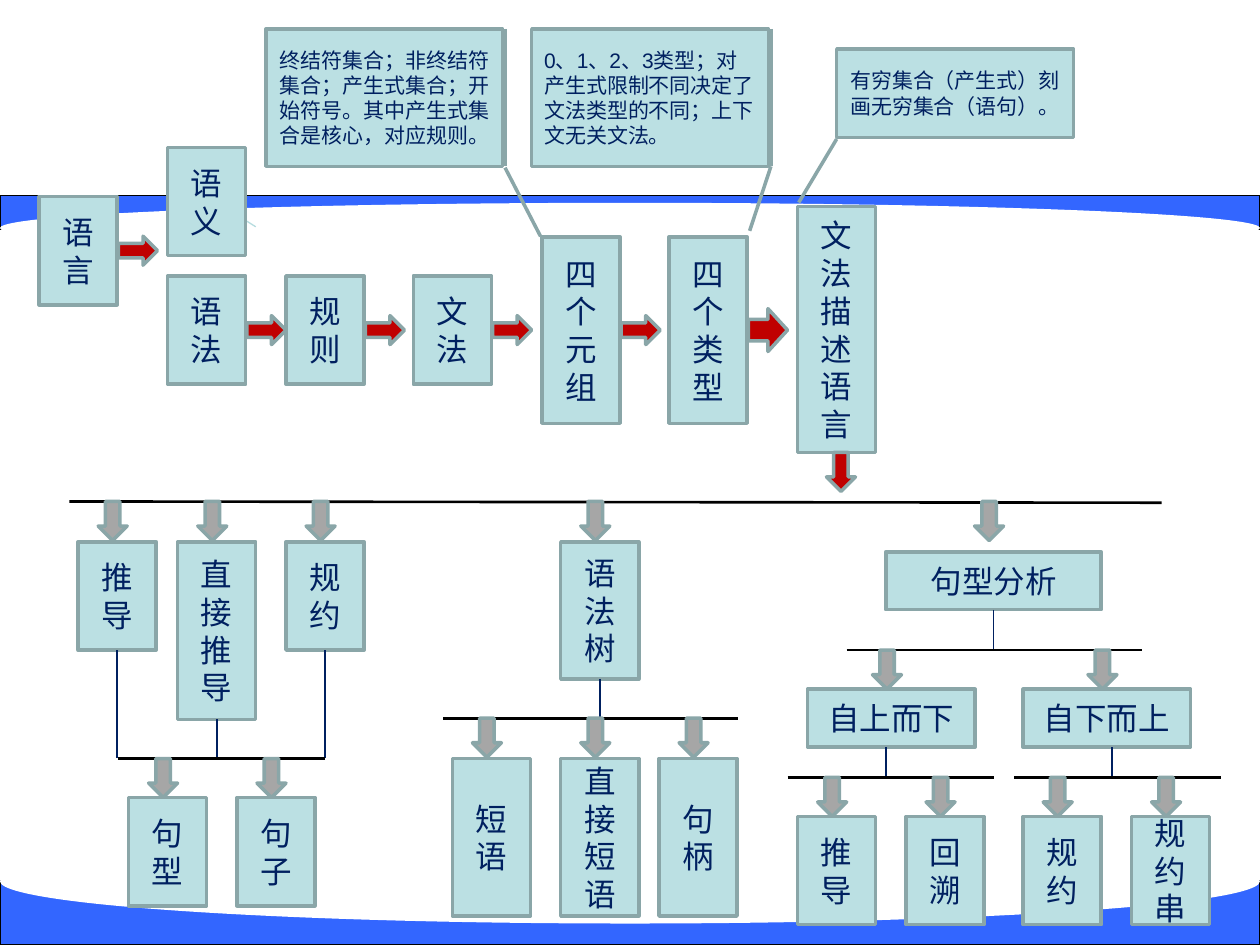
from lxml import etree
from pptx import Presentation
from pptx.dml.color import RGBColor
from pptx.enum.shapes import MSO_CONNECTOR, MSO_SHAPE
from pptx.enum.text import MSO_ANCHOR, PP_ALIGN
from pptx.oxml.ns import qn
from pptx.util import Inches, Pt

RECT = MSO_SHAPE.RECTANGLE
OVAL = MSO_SHAPE.OVAL
RIGHT = MSO_SHAPE.RIGHT_ARROW
DOWN = MSO_SHAPE.DOWN_ARROW
NOTE = MSO_SHAPE.LINE_CALLOUT_1_BORDER_AND_ACCENT_BAR
LINE = MSO_CONNECTOR.STRAIGHT
MID = MSO_ANCHOR.MIDDLE
CENTER, LEFT = PP_ALIGN.CENTER, PP_ALIGN.LEFT

THEME = {
    "box": "BBE0E3", "edge": "8AA6A8", "ink": "002060", "band": "3366FF",
    "white": "FFFFFF", "black": "000000", "red": "C00000", "gray": "A6A6A6",
    "pale": "B6DCDF", "font": "Arial", "label": 18, "note": 12,
}

BANDS = [
    (RECT, 1.55, 0.27), (OVAL, 1.61, 0.4),
    (RECT, 6.99, 0.51), (OVAL, 6.66, 0.67),
]

W, H = 0.62, 0.86
ARROW, THICK = 0.31, 0.23

# text, left, top, height, thickness of the arrow that follows
CHAIN = [
    (["语言"], 0.31, 1.56, H, THICK),
    (["语义"], 1.33, 1.17, H, None),
    (["语法"], 1.33, 2.19, H, THICK),
    (["规则"], 2.27, 2.19, H, THICK),
    (["文法"], 3.28, 2.19, H, THICK),
    (["四个", "元组"], 4.3, 1.88, 1.48, THICK),
    (["四个类型"], 5.31, 1.88, 1.48, 0.34),
    (["文法描述语言"], 6.33, 1.64, 1.95, None),
]

NOTES = [
    ("终结符集合；非终结符集合；产生式集合；开始符号。其中产生式集合是核心，对应规则。",
     2.11, 0.23, 1.09, CENTER, (1.01, 1.01, 1.51, 1.16)),
    ("0、1、2、3类型；对产生式限制不同决定了文法类型的不同；上下文无关文法。",
     4.22, 0.23, 1.09, LEFT, (1, 1.01, 1.47, 0.92)),
    ("有穷集合（产生式）刻画无穷集合（语句）。",
     6.64, 0.39, 0.7, CENTER, (1.02, 0, 1.74, -0.16)),
]

# rail: left, right, top, slope, then its boxes
# box: text, left, top, width, height, bottom of stem, shift of stem
TREE = [
    (0.55, 9.22, 3.98, 0.01, [
        ("推导", 0.62, 4.3, W, H, 6.02, 0),
        ("直接推导", 1.41, 4.3, W, 1.41, 6.02, 0),
        ("规约", 2.27, 4.3, W, H, 6.02, 0),
        ("语法树", 4.45, 4.3, W, 1.09, 5.7, 0),
        ("句型分析", 7.03, 4.38, 1.71, 0.46, 5.16, 0)]),
    (0.94, 2.58, 6.02, 0, [
        ("句型", 1.02, 6.33, W, H, None, 0),
        ("句子", 1.88, 6.33, W, H, None, 0)]),
    (3.52, 5.86, 5.7, 0, [
        ("短语", 3.59, 6.02, W, 1.25, None, 0),
        ("直接短语", 4.45, 6.02, W, 1.25, None, 0),
        ("句柄", 5.23, 6.02, W, 1.25, None, 0)]),
    (6.72, 9.06, 5.16, 0, [
        ("自上而下", 6.41, 5.47, 1.33, 0.46, 6.17, -0.04),
        ("自下而上", 8.12, 5.47, 1.33, 0.46, 6.17, 0.04)]),
    (6.25, 7.89, 6.17, 0, [
        ("推导", 6.33, 6.48, W, H, None, 0),
        ("回溯", 7.19, 6.48, W, H, None, 0)]),
    (8.05, 9.69, 6.17, 0, [
        ("规约", 8.12, 6.48, W, H, None, 0),
        ("规约串", 8.98, 6.48, W, H, None, 0)]),
]


def tint(name):
    return RGBColor.from_string(THEME[name])


def shape(kind, x, y, w, h, fill, edge="edge", width=2):
    item = slide.shapes.add_shape(kind, Inches(x), Inches(y), Inches(w), Inches(h))
    item.shadow.inherit = False
    item.fill.solid()
    item.fill.fore_color.rgb = tint(fill)
    if edge:
        item.line.color.rgb = tint(edge)
        item.line.width = Pt(width)
    else:
        item.line.fill.background()
    return item


def write(item, lines, size, align=CENTER):
    frame = item.text_frame
    frame.word_wrap = True
    frame.vertical_anchor = MID
    for i, text in enumerate(lines):
        para = frame.paragraphs[0] if i == 0 else frame.add_paragraph()
        para.alignment = align
        run = para.add_run()
        run.text = text
        run.font.size = Pt(THEME[size])
        run.font.name = THEME["font"]
        run.font.color.rgb = tint("ink")


def box(lines, x, y, w, h):
    item = shape(RECT, x, y, w, h, "box")
    write(item, lines, "label")
    return item


def rule(x1, y1, x2, y2, color, width):
    item = slide.shapes.add_connector(LINE, Inches(x1), Inches(y1), Inches(x2), Inches(y2))
    item.line.color.rgb = tint(color)
    item.line.width = Pt(width)
    etree.SubElement(item._element.spPr, qn("a:effectLst"))
    return item


deck = Presentation()
deck.slide_width, deck.slide_height = Inches(10), Inches(7.5)
slide = deck.slides.add_slide(deck.slide_layouts[6])

for kind, y, h in BANDS:
    if kind == RECT:
        shape(kind, 0, y, 10, h, "band", "black", 0.75)
    else:
        shape(kind, 0, y, 10, h, "white", None)

rule(1.52, 1.48, 2.03, 1.8, "pale", 0.75)

for lines, x, y, h, thick in CHAIN:
    box(lines, x, y, W, h)
    if thick:
        shape(RIGHT, x + W + 0.01, y + (h - thick) / 2, ARROW, thick, "red")

for text, x, y, h, align, bends in NOTES:
    note = shape(NOTE, x, y, 1.88, h, "box")
    for i, bend in enumerate(bends):
        note.adjustments[i] = bend
    write(note, [text], "note", align)

shape(DOWN, 6.56, 3.59, THICK, ARROW, "red")

for left, right, top, slope, kids in TREE:
    rule(left, top, right, top + slope, "black", 1.5)
    for text, x, y, w, h, end, shift in kids:
        mid = x + w / 2
        shape(DOWN, mid - 0.15, top, THICK, ARROW, "gray")
        item = box([text], x, y, w, h)
        if end:
            stem = rule(mid + shift, y + h, mid + shift, end, "ink", 1)
            if not shift:
                stem.begin_connect(item, 2)

deck.save("out.pptx")
